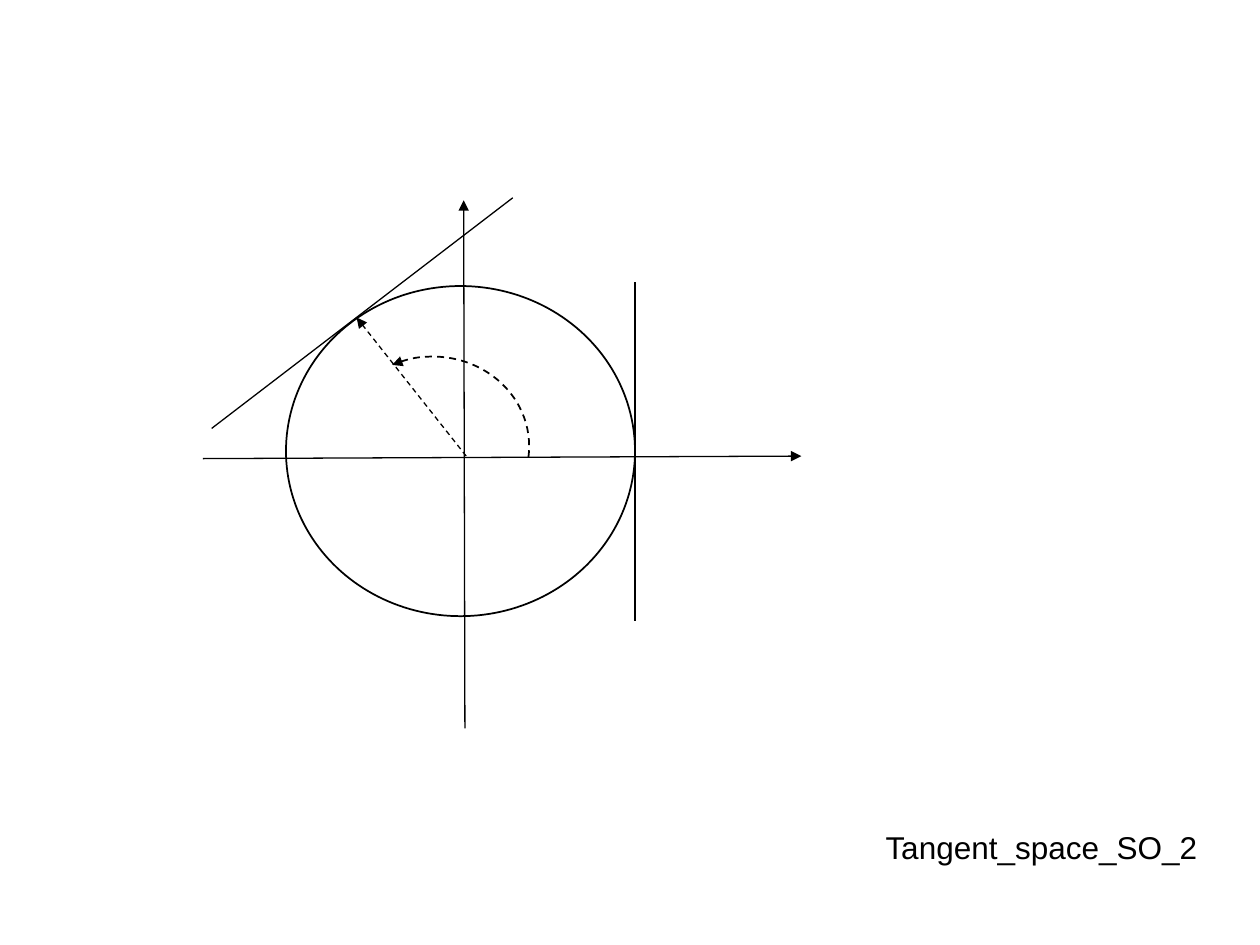
from lxml import etree
from pptx import Presentation
from pptx import util as u
from pptx.dml.color import RGBColor
from pptx.enum import dml, shapes, text
from pptx.oxml.ns import qn

BLACK = RGBColor(0, 0, 0)
DASH = dml.MSO_LINE.DASH

deck = Presentation()
deck.slide_width, deck.slide_height = u.Inches(10), u.Inches(7.5)
page = deck.slides.add_slide(deck.slide_layouts[6])

# Grid of 100 columns by 75 rows
COLUMN = deck.slide_width // 100
ROW = deck.slide_height // 75


def place(*grid):
    """Turn alternating column and row numbers into slide lengths."""
    return [round(value * unit) for value, unit in zip(grid, (COLUMN, ROW) * 2)]


def draw_line(shape, points, dash=None, arrow=None):
    """Style a black line, with an optional dash and arrowhead."""
    shape.line.color.rgb = BLACK
    shape.line.width = u.Pt(points)
    if dash:
        shape.line.dash_style = dash
    if arrow:
        etree.SubElement(shape.line._get_or_add_ln(), qn(arrow), type="triangle")


# Axes and radius, ending in arrowheads
# Tangents, at the rotated point and at the identity
straight_lines = [
    ((36.9, 57.8, 36.8, 15.9), None, "a:tailEnd"),
    ((16.1, 36.4, 63.6, 36.2), None, "a:tailEnd"),
    ((37, 36.2, 28.3, 25.2), DASH, "a:tailEnd"),
    ((40.7, 15.7, 16.8, 34), None, None),
    ((50.4, 22.4, 50.4, 49.3), None, None),
]
for ends, dash, arrow in straight_lines:
    line = page.shapes.add_connector(shapes.MSO_CONNECTOR.STRAIGHT, *place(*ends))
    draw_line(line, 0.75, dash, arrow)
    etree.SubElement(line._element.spPr, qn("a:effectLst"))

# Rotation angle and unit circle
angle = page.shapes.add_shape(shapes.MSO_SHAPE.ARC, *place(26.7, 28.3, 15.3, 14.2))
for index, degrees in enumerate((243.4, 7.9)):
    angle.adjustments[index] = degrees * 0.6  # 60000 units a degree, scaled by 100000
circle = page.shapes.add_shape(shapes.MSO_SHAPE.OVAL, *place(22.7, 22.7, 27.7, 26.2))
for curve, dash, arrow in ((angle, DASH, "a:headEnd"), (circle, None, None)):
    curve.shadow.inherit = False
    curve.fill.background()
    draw_line(curve, 1, dash, arrow)

# Caption
box = page.shapes.add_textbox(*place(69.3, 65.2, 27, 4))
box.text_frame.word_wrap = False
box.text_frame.auto_size = text.MSO_AUTO_SIZE.SHAPE_TO_FIT_TEXT
para = box.text_frame.paragraphs[0]
para.text = "Tangent_space_SO_2"
para.font.name = "Arial"
para.font.size = u.Pt(18)
para.font.color.rgb = BLACK

deck.save("out.pptx")
